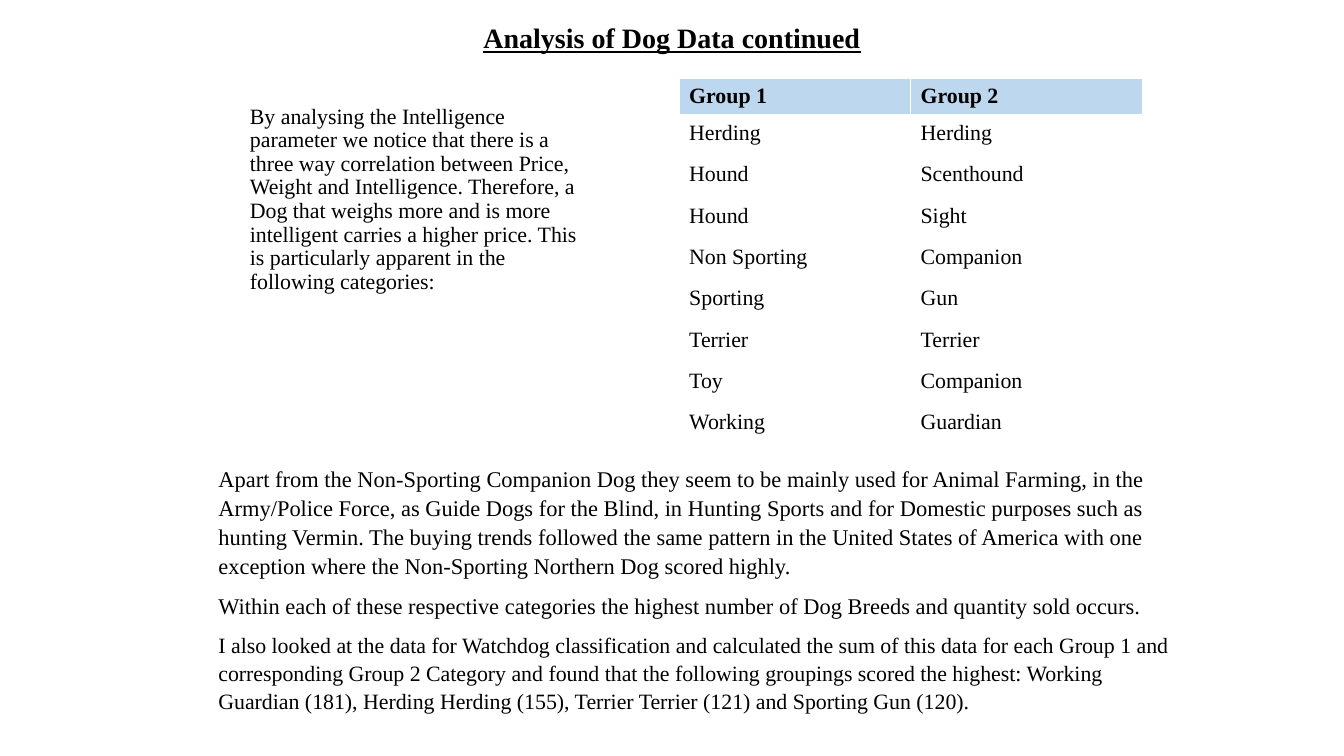
from dataclasses import dataclass

from lxml import etree
from pptx import Presentation
from pptx.dml.color import RGBColor
from pptx.enum.text import MSO_ANCHOR, PP_ALIGN
from pptx.oxml.ns import qn
from pptx.util import Inches, Pt

LEFT, CENTER = PP_ALIGN.LEFT, PP_ALIGN.CENTER
TOP, MIDDLE = MSO_ANCHOR.TOP, MSO_ANCHOR.MIDDLE
FONT = "Times New Roman"
BLACK, WHITE, BLUE = "000000", "FFFFFF", "BDD7EE"


@dataclass
class Block:
    left: float
    top: float
    width: float
    height: float
    texts: list[str]
    sizes: list[float]
    spacing: float = 0.9
    after: float = 0
    align: int = LEFT
    anchor: int = TOP
    title: bool = False


BLOCKS = [
    Block(0.94, 0.1, 11.77, 0.61, ["Analysis of Dog Data continued"], [20.5],
          align=CENTER, anchor=MIDDLE, title=True),
    Block(2.44, 1.02, 3.61, 2.14, [
        "By analysing the Intelligence parameter we notice that there is a "
        "three way correlation between Price, Weight and Intelligence. "
        "Therefore, a Dog that weighs more and is more intelligent carries a "
        "higher price. This is particularly apparent in the following "
        "categories:",
    ], [16]),
    Block(2.12, 4.66, 9.97, 3.57, [
        "Apart from the Non-Sporting Companion Dog they seem to be mainly "
        "used for Animal Farming, in the Army/Police Force, as Guide Dogs for "
        "the Blind, in Hunting Sports and for Domestic purposes such as "
        "hunting Vermin. The buying trends followed the same pattern in the "
        "United States of America with one exception where the Non-Sporting "
        "Northern Dog scored highly.",
        "Within each of these respective categories the highest number of "
        "Dog Breeds and quantity sold occurs.",
        "I also looked at the data for Watchdog classification and calculated "
        "the sum of this data for each Group 1 and corresponding Group 2 "
        "Category and found that the following groupings scored the highest: "
        "Working Guardian (181), Herding Herding (155), Terrier Terrier (121) "
        "and Sporting Gun (120).",
    ], [16.4, 16.4, 16], spacing=1.07, after=8.2),
]

GROUPS = [
    ("Group 1", "Group 2"),
    ("Herding", "Herding"),
    ("Hound", "Scenthound"),
    ("Hound", "Sight"),
    ("Non Sporting", "Companion"),
    ("Sporting", "Gun"),
    ("Terrier", "Terrier"),
    ("Toy", "Companion"),
    ("Working", "Guardian"),
]


def color(code: str) -> RGBColor:
    return RGBColor.from_string(code)


def style(para, size: float, bold: bool = False, under: bool = False) -> None:
    for run in para.runs:
        font = run.font
        font.name, font.size = FONT, Pt(size)
        font.bold, font.underline = bold, under
        font.color.rgb = color(BLACK)


def add_block(slide, block: Block) -> None:
    box = slide.shapes.add_textbox(Inches(block.left), Inches(block.top),
                                   Inches(block.width), Inches(block.height))
    frame = box.text_frame
    frame.word_wrap = True
    frame.vertical_anchor = block.anchor
    frame.text = "\n".join(block.texts)
    for para, size in zip(frame.paragraphs, block.sizes):
        para.alignment = block.align
        para.line_spacing = block.spacing
        para.space_after = Pt(block.after)
        style(para, size, block.title, block.title)


def add_edges(cell, base: float) -> None:
    props = cell._tc.get_or_add_tcPr()
    for side, width in (("L", 1), ("R", 1), ("T", 1), ("B", base)):
        line = etree.SubElement(props, qn(f"a:ln{side}"), w=str(Pt(width)))
        fill = etree.SubElement(line, qn("a:solidFill"))
        etree.SubElement(fill, qn("a:srgbClr"), val=WHITE)


def add_groups(slide) -> None:
    frame = slide.shapes.add_table(len(GROUPS), 2, Inches(6.9), Inches(0.8),
                                   Inches(4.7), Inches(3.7))
    table = frame.table
    table.horz_banding = False
    for r, names in enumerate(GROUPS):
        head = r == 0
        table.rows[r].height = Inches(0.38 if head else 0.42)
        for c, name in enumerate(names):
            cell = table.cell(r, c)
            cell.text_frame.text = name
            style(cell.text_frame.paragraphs[0], 16, head)
            add_edges(cell, 3 if head else 1)
            cell.fill.solid()
            cell.fill.fore_color.rgb = color(BLUE if head else WHITE)


def main() -> None:
    deck = Presentation()
    deck.slide_width, deck.slide_height = Inches(13.65), Inches(7.68)
    slide = deck.slides.add_slide(deck.slide_layouts[6])
    for block in BLOCKS:
        add_block(slide, block)
    add_groups(slide)
    deck.save("out.pptx")


if __name__ == "__main__":
    main()
